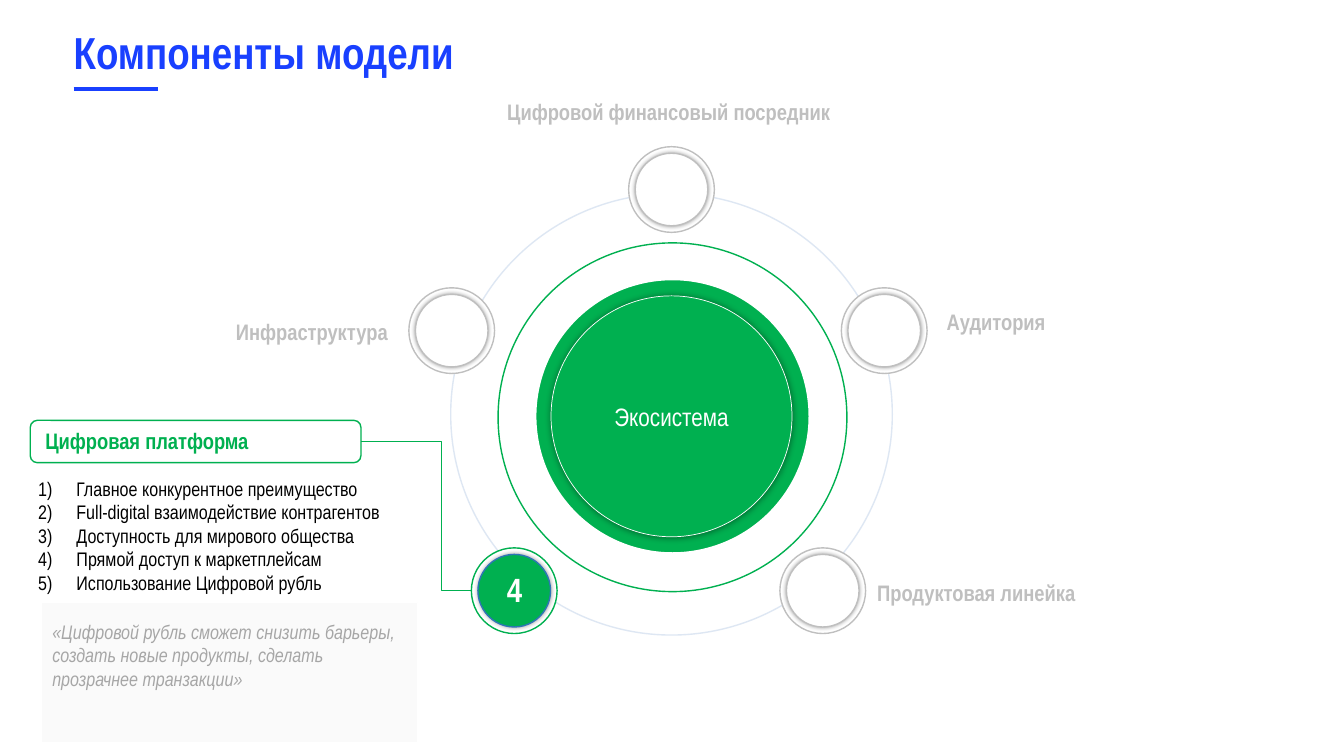
from lxml.etree import SubElement
from pptx import Presentation
from pptx.dml.color import RGBColor
from pptx.enum.shapes import MSO_CONNECTOR as LINK, MSO_SHAPE as SHAPE
from pptx.enum.text import MSO_ANCHOR as ANCHOR, PP_ALIGN as ALIGN
from pptx.oxml.ns import qn
from pptx.util import Inches, Pt

FONT = "Arial Narrow"
COLORS = {
    "blue": "1940FF", "green": "00B050", "white": "FFFFFF", "black": "000000",
    "silver": "BFBFBF", "gray": "A6A6A6", "panel": "F2F2F2", "orbit": "DEE7F3",
    "steel": "2E75B6",
}
CENTER = (6.66, 4.11)
INACTIVE_NODES = [(4.48, 3.28), (8.16, 5.86), (6.66, 1.88), (8.77, 3.28)]
ACTIVE_NODE = (5.1, 5.86)
LABELS = [
    ("Инфраструктура", 2.34, 3.15, 1.52),
    ("Цифровой финансовый посредник", 5.03, 0.97, 3.25),
    ("Аудитория", 9.39, 3.06, 1),
    ("Продуктовая линейка", 8.7, 5.74, 1.99),
]
BENEFITS = [
    "Главное конкурентное преимущество",
    "Full-digital взаимодействие контрагентов",
    "Доступность для мирового общества",
    "Прямой доступ к маркетплейсам",
    "Использование Цифровой рубль",
]
QUOTE = ("«Цифровой рубль сможет снизить барьеры, создать новые продукты, "
         "сделать прозрачнее транзакции»")


def rgb(name):
    """Return the palette colour with this name."""
    return RGBColor.from_string(COLORS[name])


def style(para, size, color, bold=False, italic=False):
    """Set the font of a paragraph."""
    font = para.font
    font.name, font.size, font.bold, font.italic = FONT, Pt(size), bold, italic
    font.color.rgb = rgb(color)


def add_outline(page, kind, left, top, width, height, fill, line, weight=1):
    """Add a flat preset shape; a fill of None leaves it open."""
    shape = page.shapes.add_shape(
        kind, Inches(left), Inches(top), Inches(width), Inches(height))
    shape.shadow.inherit = False
    if fill:
        shape.fill.solid()
        shape.fill.fore_color.rgb = rgb(fill)
    else:
        shape.fill.background()
    shape.line.color.rgb = rgb(line)
    shape.line.width = Pt(weight)
    return shape


def add_circle(page, center, size, fill, line, weight=1):
    """Add a circle around a centre point."""
    left, top = (middle - size / 2 for middle in center)
    return add_outline(page, SHAPE.OVAL, left, top, size, size, fill, line, weight)


def add_halo(shape, blur, opacity):
    """Give a shape a soft black shadow without offset."""
    effects = shape.element.spPr.find(qn("a:effectLst"))
    shadow = SubElement(effects, qn("a:outerShdw"), blurRad=str(Pt(blur)),
                        dist="0", dir="0", algn="ctr", rotWithShape="0")
    color = SubElement(shadow, qn("a:srgbClr"), val=COLORS["black"])
    SubElement(color, qn("a:alpha"), val=str(opacity * 1000))


def add_node(page, center, fill, rim, edge):
    """Add an orbit node: a rim with a shaded disc inside."""
    add_circle(page, center, 0.85, "white", rim)
    add_halo(add_circle(page, center, 0.72, fill, edge), 3, 35)


def add_text(page, lines, left, top, width, height, size, color,
             bold=False, italic=False, wrap=True):
    """Add a text box with one paragraph per line and return its paragraphs."""
    box = page.shapes.add_textbox(
        Inches(left), Inches(top), Inches(width), Inches(height))
    frame = box.text_frame
    frame.word_wrap = wrap
    frame.text = "\n".join(lines)
    for para in frame.paragraphs:
        style(para, size, color, bold, italic)
    return frame


def add_label(page, text, left, top, width, color):
    """Add a bold component name without insets."""
    frame = add_text(page, [text], left, top, width, 0.27, 16, color,
                     bold=True, wrap=False)
    frame.margin_left = frame.margin_right = 0
    frame.margin_top = frame.margin_bottom = 0
    frame.vertical_anchor = ANCHOR.MIDDLE


def add_line(page, kind, start, end, color, weight):
    """Add a connector without a shadow."""
    link = page.shapes.add_connector(kind, *map(Inches, start + end))
    link.line.color.rgb = rgb(color)
    link.line.width = Pt(weight)
    SubElement(link.element.spPr, qn("a:effectLst"))
    return link


def add_title(page, text):
    """Fill and place the title and underline it."""
    title = page.shapes.title
    title.left, title.top = Inches(0.63), Inches(0.13)
    title.width, title.height = Inches(4.13), Inches(0.83)
    title.text_frame.text = text
    title.text_frame.vertical_anchor = ANCHOR.MIDDLE
    para = title.text_frame.paragraphs[0]
    para.alignment, para.line_spacing = ALIGN.LEFT, 0.9
    style(para, 32, "blue", bold=True)
    add_line(page, LINK.STRAIGHT, (0.73, 0.88), (1.57, 0.88), "blue", 3)


def add_core(page):
    """Add the rings and the ecosystem disc."""
    add_circle(page, CENTER, 4.38, None, "orbit")
    add_circle(page, (6.67, 4.14), 3.46, None, "green")
    add_circle(page, (6.67, 4.13), 2.74, "green", "white", 3)
    disc = add_circle(page, (6.66, 4.13), 2.39, "green", "white", 0.5)
    add_halo(disc, 5, 40)
    disc.text_frame.text = "Экосистема"
    disc.text_frame.vertical_anchor = ANCHOR.MIDDLE
    para = disc.text_frame.paragraphs[0]
    para.alignment = ALIGN.CENTER
    style(para, 18, "white")


def add_benefits(page):
    """Add the numbered list of platform benefits."""
    frame = add_text(page, BENEFITS, 0.28, 4.68, 4.26, 1.28, 14, "black")
    for para in frame.paragraphs:
        props = para._p.get_or_add_pPr()
        props.set("marL", str(Inches(0.38)))
        props.set("indent", str(-Inches(0.38)))
        number = props.makeelement(qn("a:buAutoNum"), {"type": "arabicParenR"})
        props.insert(0, number)


def add_platform(page):
    """Add the highlighted component with its list, quote and node."""
    add_label(page, "Цифровая платформа", 0.45, 4.24, 2.56, "green")
    add_outline(page, SHAPE.ROUNDED_RECTANGLE, 0.3, 4.17, 3.28, 0.42, None, "green")
    link = add_line(page, LINK.ELBOW, (3.58, 4.38), (4.68, 5.86), "green", 0.5)
    bends = link.element.spPr.find(qn("a:prstGeom")).find(qn("a:avLst"))
    SubElement(bends, qn("a:gd"), name="adj1", fmla="val 72500")
    add_benefits(page)
    panel = add_outline(page, SHAPE.RECTANGLE, 0.41, 5.98, 3.73, 1.39, "panel", "white")
    tint = panel.element.spPr.find(qn("a:solidFill"))[0]
    SubElement(tint, qn("a:alpha"), val="35000")
    add_text(page, [QUOTE], 0.42, 6.1, 3.71, 0.81, 14, "gray", italic=True)
    add_node(page, ACTIVE_NODE, "green", "green", "steel")
    add_text(page, ["4"], 4.93, 5.59, 1.07, 0.5, 24, "white", bold=True)


def main():
    """Build the slide and save it."""
    deck = Presentation()
    deck.slide_width, deck.slide_height = Inches(13.33), Inches(7.5)
    page = deck.slides.add_slide(deck.slide_layouts[5])
    add_title(page, "Компоненты модели")
    add_core(page)
    for center in INACTIVE_NODES:
        add_node(page, center, "white", "silver", "silver")
    for text, left, top, width in LABELS:
        add_label(page, text, left, top, width, "silver")
    add_platform(page)
    deck.save("out.pptx")


if __name__ == "__main__":
    main()
